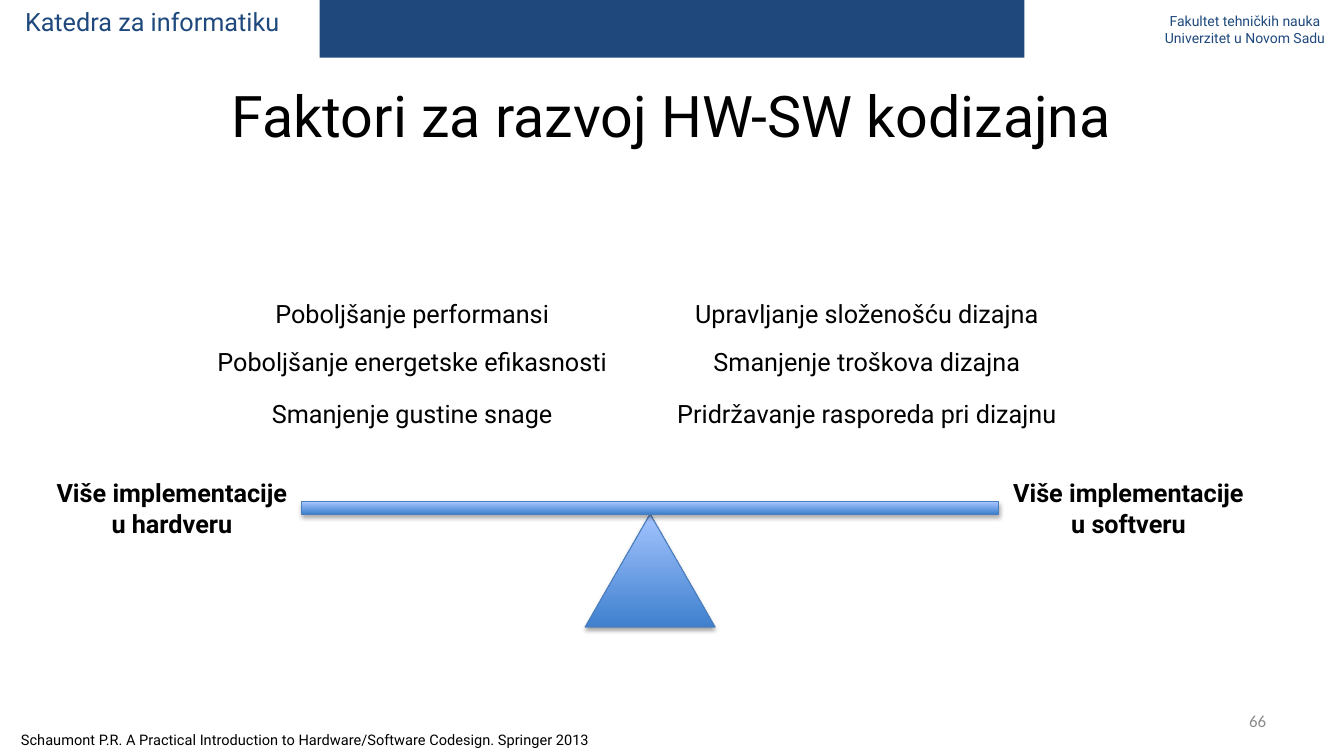
import dataclasses

import lxml.etree
import pptx
import pptx.dml.color
import pptx.enum.shapes
import pptx.enum.text
import pptx.oxml.ns
import pptx.util

SLIDE_WIDTH = pptx.util.Inches(13.33)
SLIDE_HEIGHT = pptx.util.Inches(7.5)
COLUMNS, ROWS = 80, 45
ALIGN = pptx.enum.text.PP_ALIGN
ANCHOR = pptx.enum.text.MSO_ANCHOR
SHAPES = pptx.enum.shapes.MSO_SHAPE

FACTOR_WIDTH = 26
FACTOR_ROWS = (17.46, 20.34, 23.43)
FACTORS = {
    24.54: (
        "Poboljšanje performansi",
        "Poboljšanje energetske efikasnosti",
        "Smanjenje gustine snage",
    ),
    51.6: (
        "Upravljanje složenošću dizajna",
        "Smanjenje troškova dizajna",
        "Pridržavanje rasporeda pri dizajnu",
    ),
}


@dataclasses.dataclass(frozen=True)
class Theme:
    font: str = "Roboto"
    number_font: str = "Calibri"
    navy: str = "1F497D"
    ink: str = "000000"
    grey: str = "8C8C8C"
    balance_dark: str = "3F80CE"
    balance_light: str = "A4C4FF"
    balance_line: str = "4B7EBC"
    title_size: int = 41
    body_size: int = 18
    number_size: int = 12
    small_size: int = 10


THEME = Theme()


def color(value):
    return pptx.dml.color.RGBColor.from_string(value)


def grid(left, top, width, height):
    column, row = SLIDE_WIDTH / COLUMNS, SLIDE_HEIGHT / ROWS
    return [round(length) for length in (left * column, top * row, width * column, height * row)]


def centered(center, top, width, height):
    return center - width / 2, top, width, height


def add_text(slide, area, lines, size=THEME.body_size, ink=THEME.ink, font=THEME.font,
             bold=False, align=ALIGN.LEFT, anchor=ANCHOR.TOP, wrap=True,
             line_spacing=None, baseline=None):
    frame = slide.shapes.add_textbox(*grid(*area)).text_frame
    frame.word_wrap = wrap
    frame.vertical_anchor = anchor
    for index, line in enumerate(lines):
        paragraph = frame.add_paragraph() if index else frame.paragraphs[0]
        paragraph.alignment = align
        paragraph.line_spacing = line_spacing
        run = paragraph.add_run()
        run.text = line
        run.font.name = font
        run.font.size = pptx.util.Pt(size)
        run.font.bold = bold
        run.font.color.rgb = color(ink)
        if baseline:
            run._r.get_or_add_rPr().set("baseline", str(baseline))


def add_band(slide, area):
    shape = slide.shapes.add_shape(SHAPES.RECTANGLE, *grid(*area))
    shape.shadow.inherit = False
    shape.fill.solid()
    shape.fill.fore_color.rgb = color(THEME.navy)
    shape.line.fill.background()


def add_shadow(shape):
    shape.shadow.inherit = False
    qn = pptx.oxml.ns.qn
    effects = shape._element.spPr.find(qn("a:effectLst"))
    shadow = lxml.etree.SubElement(
        effects, qn("a:outerShdw"), blurRad=str(pptx.util.Pt(3.1)),
        dist=str(pptx.util.Pt(1.8)), dir="5400000", rotWithShape="0")
    tint = lxml.etree.SubElement(shadow, qn("a:srgbClr"), val=THEME.ink)
    lxml.etree.SubElement(tint, qn("a:alpha"), val="35000")


def add_balance_part(slide, kind, area):
    shape = slide.shapes.add_shape(kind, *grid(*area))
    shape.fill.gradient()
    shape.fill.gradient_angle = 90
    for stop, value in zip(shape.fill.gradient_stops, (THEME.balance_dark, THEME.balance_light)):
        stop.color.rgb = color(value)
    shape.line.color.rgb = color(THEME.balance_line)
    shape.line.width = pptx.util.Pt(0.75)
    add_shadow(shape)


def add_header(slide):
    add_text(slide, (68.4, 0.48, 11.4, 2.64),
             ("Fakultet tehničkih nauka", "Univerzitet u Novom Sadu"),
             THEME.small_size, THEME.navy, align=ALIGN.CENTER, wrap=False)
    add_band(slide, (19.03, 0, 41.95, 3.43))
    add_text(slide, (0.9, 0.06, 19.27, 2.4), ("Katedra za informatiku",), ink=THEME.navy)


def add_balance(slide, center=38.7, reach=28.47):
    add_balance_part(slide, SHAPES.ISOSCELES_TRIANGLE, centered(center, 30.6, 7.74, 6.72))
    add_balance_part(slide, SHAPES.RECTANGLE, centered(center, 29.88, 41.46, 0.72))
    for side, target in ((-1, "u hardveru"), (1, "u softveru")):
        add_text(slide, centered(center + side * reach, 28.14, 15.3, 4.26),
                 ("Više implementacije", target), bold=True, align=ALIGN.CENTER, wrap=False)


def add_factors(slide):
    for center, factors in FACTORS.items():
        for top, factor in zip(FACTOR_ROWS, factors):
            add_text(slide, centered(center, top, FACTOR_WIDTH, 2.4), (factor,),
                     align=ALIGN.CENTER, wrap=False)


def main():
    presentation = pptx.Presentation()
    presentation.slide_width = SLIDE_WIDTH
    presentation.slide_height = SLIDE_HEIGHT
    slide = presentation.slides.add_slide(presentation.slide_layouts[6])
    add_header(slide)
    add_text(slide, (4, 4.86, 72, 4.44), ("Faktori za razvoj HW-SW kodizajna",),
             THEME.title_size, align=ALIGN.CENTER, anchor=ANCHOR.MIDDLE, line_spacing=0.9)
    add_balance(slide)
    add_factors(slide)
    add_text(slide, (0.66, 43.02, 40.56, 1.95),
             ("Schaumont P.R. A Practical Introduction to Hardware/Software Codesign. Springer 2013",),
             wrap=False, baseline=30000)
    add_text(slide, (71.28, 41.7, 4.68, 2.4), ("66",), THEME.number_size, THEME.grey,
             THEME.number_font, align=ALIGN.RIGHT, anchor=ANCHOR.MIDDLE)
    presentation.save("out.pptx")


if __name__ == "__main__":
    main()
